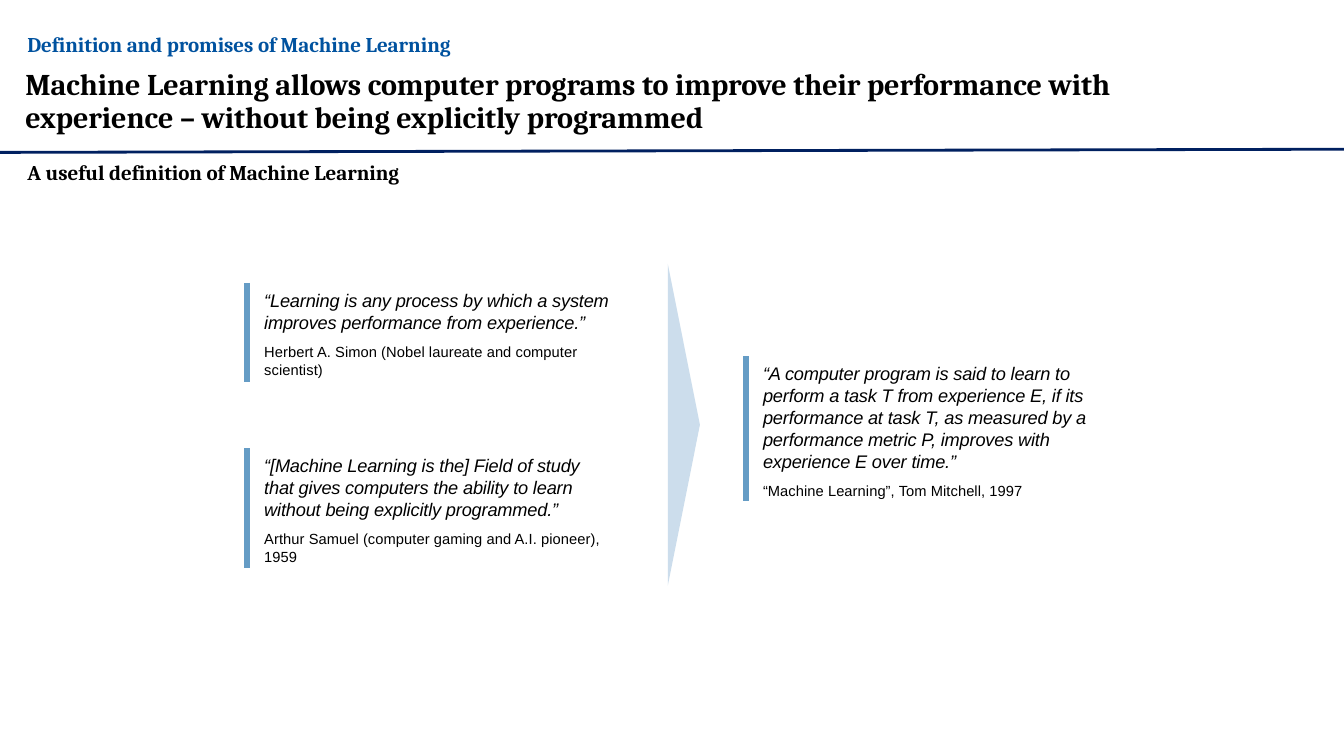
import pptx
import pptx.util
import pptx.dml.color
import pptx.enum.shapes
import pptx.enum.text
import lxml.etree
from pptx.util import Cm, Pt

COLOURS = {
    "black": "000000",
    "blue": "00529F",
    "navy": "002060",
    "bar": "659CC5",
    "arrow": "CCDDEC",
}
HEADING = {"name": "Cambria", "bold": True}
QUOTE = {"name": "Arial", "size": Pt(13), "italic": True}
SOURCE = {"name": "Arial", "size": Pt(10.5), "italic": False}

QUOTES = [
    (6.66, 7.29, 8.89, 2.24,
     "“Learning is any process by which a system improves performance from experience.”",
     "Herbert A. Simon (Nobel laureate and computer scientist)"),
    (6.66, 11.46, 8.66, 2.77,
     "“[Machine Learning is the] Field of study that gives computers the ability "
     "to learn without being explicitly programmed.”",
     "Arthur Samuel (computer gaming and A.I. pioneer), 1959"),
    (19.23, 9.14, 8.36, 3.4,
     "“A computer program is said to learn to perform a task T from experience E, "
     "if its performance at task T, as measured by a performance metric P, "
     "improves with experience E over time.”",
     "“Machine Learning”, Tom Mitchell, 1997"),
]


def rgb(colour):
    return pptx.dml.color.RGBColor.from_string(COLOURS[colour])


def apply(target, values):
    for name, value in values.items():
        setattr(target, name, value)


def add_box(page, left, top, width, height):
    box = page.shapes.add_textbox(Cm(left), Cm(top), Cm(width), Cm(height))
    apply(box.text_frame, {
        "word_wrap": True,
        "margin_left": 0,
        "margin_top": 0,
        "margin_right": 0,
        "margin_bottom": 0,
        "vertical_anchor": pptx.enum.text.MSO_ANCHOR.TOP,
    })
    return box.text_frame


def write(para, text, font, colour, tracking, layout):
    span = para.add_run()
    span.text = text
    apply(span.font, font)
    span.font.color.rgb = rgb(colour)
    span.font._element.set("spc", str(tracking))
    apply(para, layout)


def add_line(page, left, top, right, bottom, colour, width):
    line = page.shapes.add_connector(
        pptx.enum.shapes.MSO_CONNECTOR.STRAIGHT,
        Cm(left), Cm(top), Cm(right), Cm(bottom))
    line.line.color.rgb = rgb(colour)
    line.line.width = Pt(width)
    lxml.etree.SubElement(line._element.spPr, pptx.oxml.ns.qn("a:effectLst"))


def add_heading(page, left, top, width, height, text, size, colour, spacing):
    frame = add_box(page, left, top, width, height)
    write(frame.paragraphs[0], text, {**HEADING, "size": Pt(size)}, colour, -4,
          {"line_spacing": spacing})


def add_quote(page, left, top, width, height, quote, source):
    frame = add_box(page, left, top, width, height)
    write(frame.paragraphs[0], quote, QUOTE, "black", -12, {"line_spacing": 1.0})
    write(frame.add_paragraph(), source, SOURCE, "black", 8,
          {"line_spacing": 1.03, "space_before": Pt(6.5)})
    bar_left, bar_top = left - 0.43, top - 0.16
    add_line(page, bar_left, bar_top, bar_left, bar_top + height + 0.25, "bar", 3.9)


def add_arrow(page, left, top, width, height):
    builder = page.shapes.build_freeform(Cm(left), Cm(top))
    builder.add_line_segments([
        (Cm(left + width), Cm(top + height / 2)),
        (Cm(left), Cm(top + height)),
    ], close=True)
    arrow = builder.convert_to_shape()
    arrow.shadow.inherit = False
    arrow.fill.solid()
    arrow.fill.fore_color.rgb = rgb("arrow")
    arrow.line.fill.background()


def main():
    deck = pptx.Presentation()
    apply(deck, {"slide_width": Cm(33.87), "slide_height": Cm(19.05)})
    page = deck.slides.add_slide(deck.slide_layouts[6])
    add_heading(page, 0.69, 0.81, 14.1, 0.64,
                "Definition and promises of Machine Learning",
                15, "blue", Pt(17.9))
    add_heading(page, 0.64, 1.73, 28.4, 1.65,
                "Machine Learning allows computer programs to improve their "
                "performance with experience – without being explicitly programmed",
                21.5, "black", Pt(23.4))
    add_line(page, 0, 3.84, 33.87, 3.76, "navy", 2)
    add_heading(page, 0.69, 4.01, 12.78, 0.64,
                "A useful definition of Machine Learning", 15, "black", 1.0)
    for quote in QUOTES:
        add_quote(page, *quote)
    add_arrow(page, 16.83, 6.65, 0.81, 8.11)
    deck.save("out.pptx")


if __name__ == "__main__":
    main()
